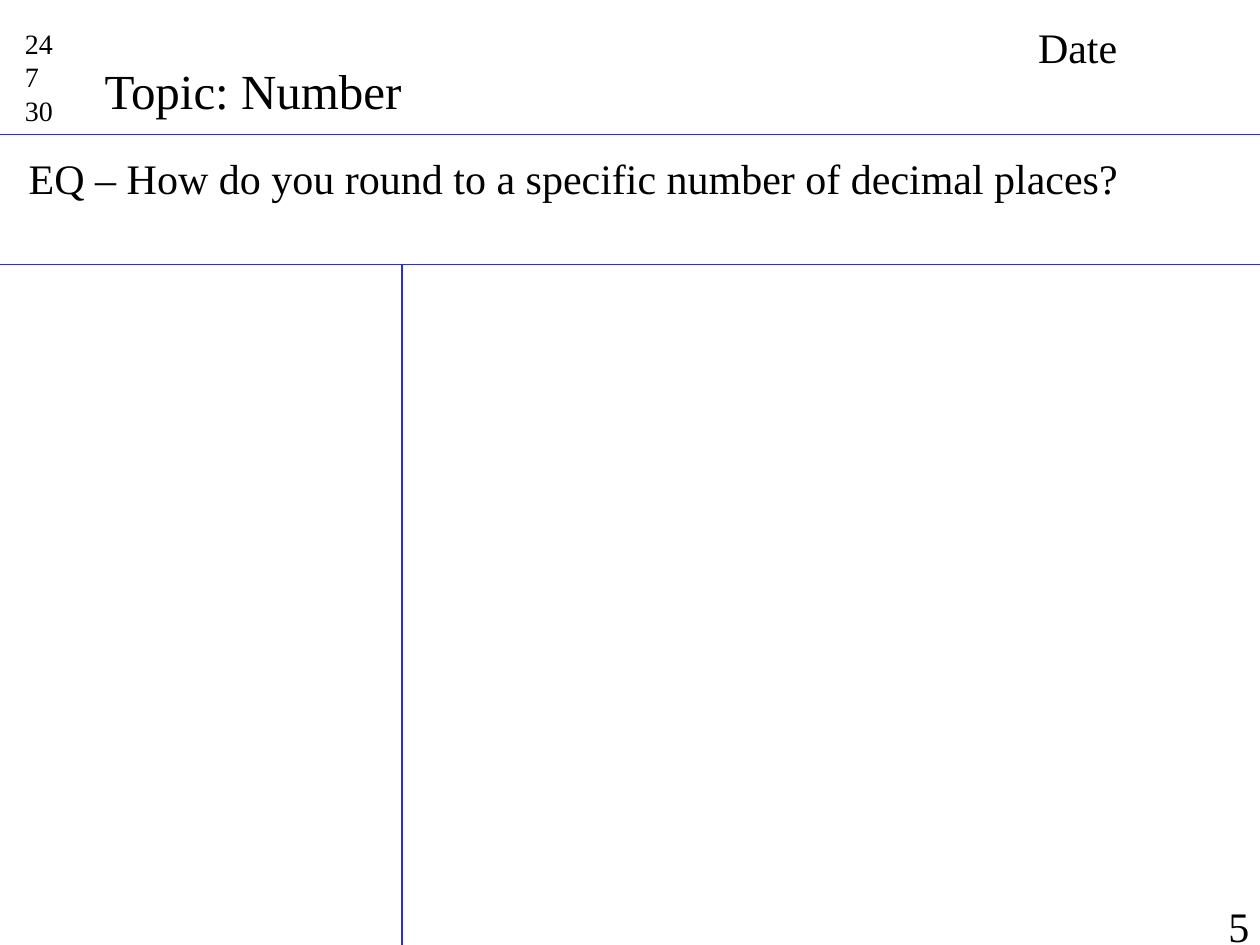
from typing import NamedTuple

from lxml import etree
from pptx import Presentation
from pptx.dml.color import RGBColor
from pptx.enum.shapes import MSO_CONNECTOR
from pptx.enum.text import MSO_ANCHOR, MSO_AUTO_SIZE, PP_ALIGN
from pptx.oxml.ns import qn
from pptx.util import Inches, Pt

STRAIGHT = MSO_CONNECTOR.STRAIGHT
TOP = MSO_ANCHOR.TOP
NO_FIT = MSO_AUTO_SIZE.NONE
LEFT = PP_ALIGN.LEFT

BLACK = RGBColor(0, 0, 0)
BLUE = RGBColor(0x2E, 0x2E, 0xCB)
FONT = "Times New Roman"
WIDE, HIGH = 10, 7.5
HEAD_Y, NOTE_Y, CUE_X = 1.07, 2.1, 3.19


class Label(NamedTuple):
    text: str
    left: float
    top: float
    width: float
    height: float
    size: int


class Rule(NamedTuple):
    x1: float
    y1: float
    x2: float
    y2: float


TOPIC = Label("Topic: Number", 0.73, 0.43, 2.58, 0.57, 28)
LABELS = [
    Label("24\n7\n30", 0.1, 0.16, 0.63, 0.91, 16),
    Label("Date", 8.14, 0.12, 1.73, 0.5, 24),
    Label("EQ – How do you round to a specific number of decimal places?",
          0.13, 1.16, 9.43, 0.5, 24),
    Label("5", 9.65, 7.1, 0.37, 0.4, 24),
]
RULES = [
    Rule(0, HEAD_Y, WIDE, HEAD_Y),
    Rule(0, NOTE_Y, WIDE, NOTE_Y),
    Rule(CUE_X, NOTE_Y, CUE_X, HIGH),
]


def fill_text(shape, label: Label) -> None:
    """Place a shape and set its text."""
    shape.left, shape.top = Inches(label.left), Inches(label.top)
    shape.width, shape.height = Inches(label.width), Inches(label.height)
    frame = shape.text_frame
    frame.text = label.text
    frame.word_wrap = True
    frame.auto_size = NO_FIT
    frame.vertical_anchor = TOP
    for para in frame.paragraphs:
        para.alignment = LEFT
        para.font.name = FONT
        para.font.size = Pt(label.size)
        para.font.color.rgb = BLACK


def draw_rule(slide, rule: Rule) -> None:
    """Draw one thin line without a shadow."""
    line = slide.shapes.add_connector(STRAIGHT, *map(Inches, rule))
    line.line.color.rgb = BLUE
    line.line.width = Pt(0.75)
    etree.SubElement(line._element.spPr, qn("a:effectLst"))


def main() -> None:
    deck = Presentation()
    deck.slide_width, deck.slide_height = Inches(WIDE), Inches(HIGH)
    slide = deck.slides.add_slide(deck.slide_layouts[5])

    # Page rules
    for rule in RULES:
        draw_rule(slide, rule)

    # Title and labels
    fill_text(slide.shapes.title, TOPIC)
    for label in LABELS:
        box = slide.shapes.add_textbox(0, 0, 0, 0)
        fill_text(box, label)

    deck.save("out.pptx")


if __name__ == "__main__":
    main()
